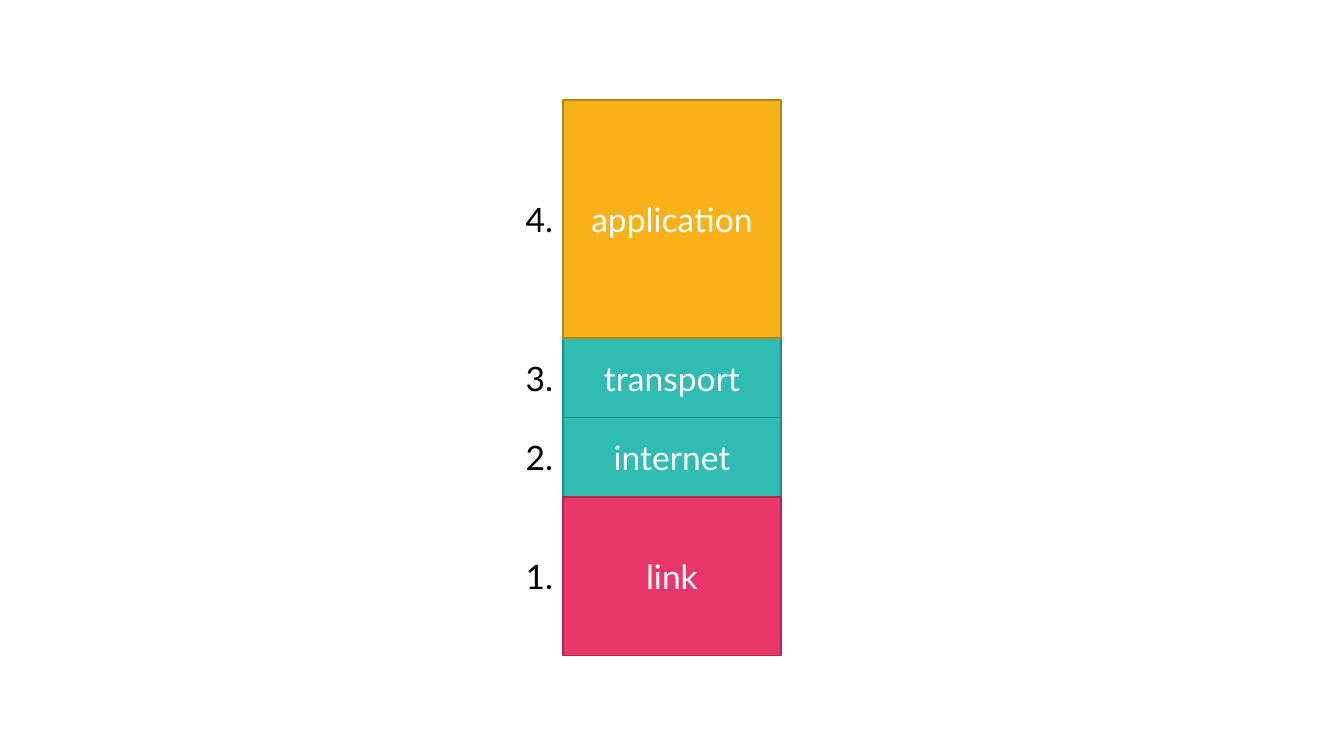
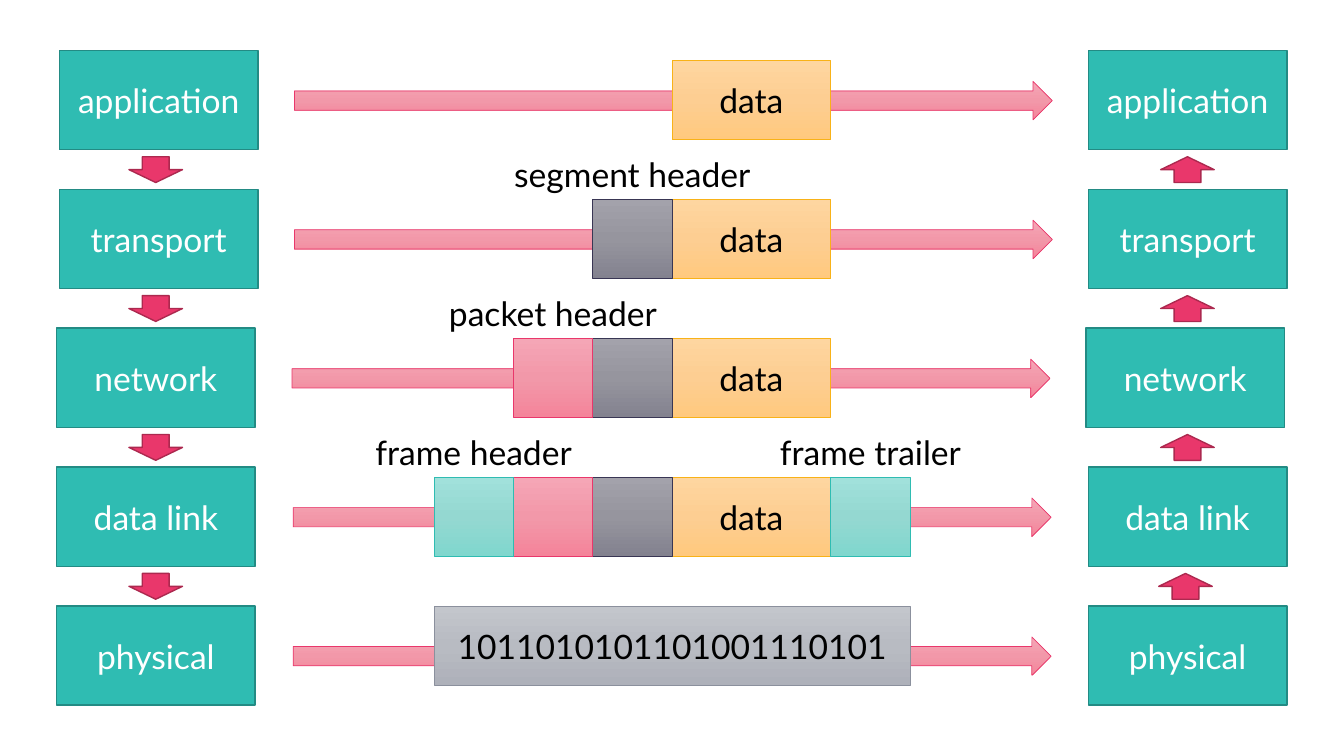
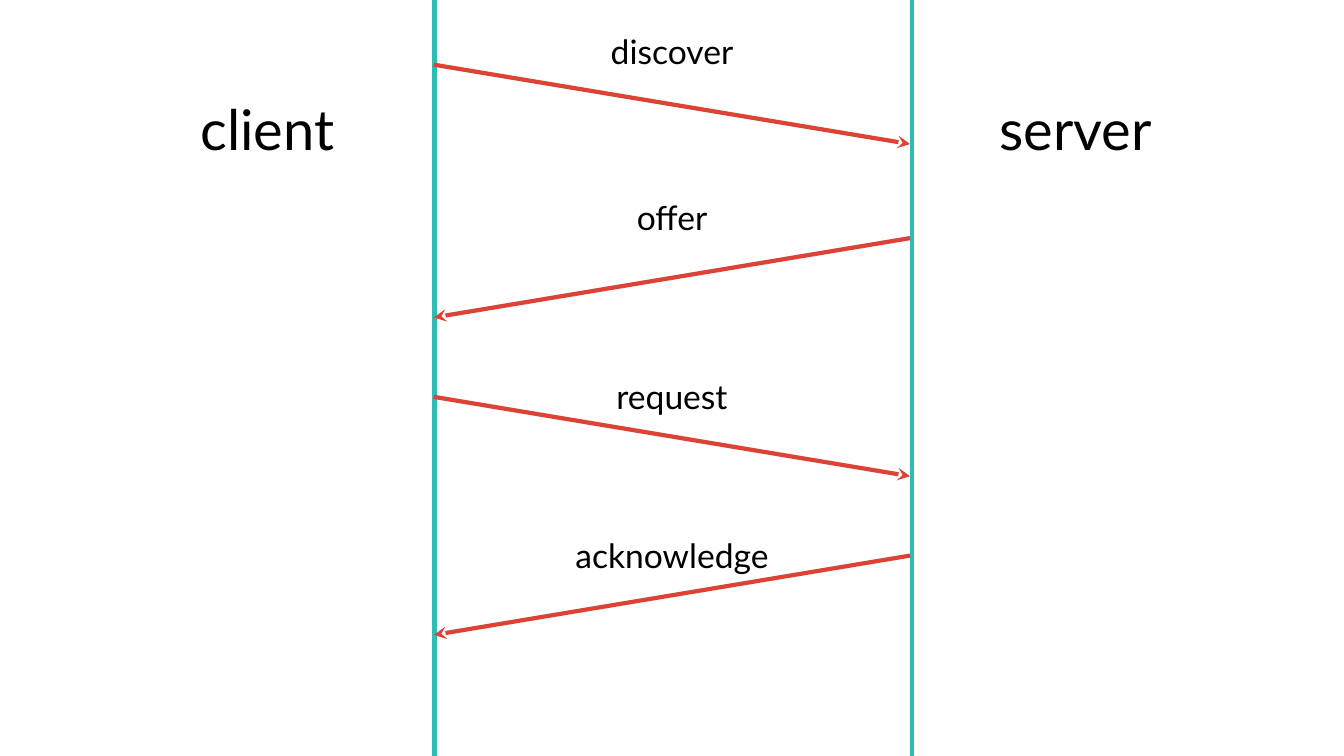
"""Build three slides on network layers, data wrapping and an address handshake."""
from copy import deepcopy
from dataclasses import dataclass

from lxml.etree import SubElement
from pptx import Presentation
from pptx.dml.color import RGBColor
from pptx.enum.shapes import MSO_CONNECTOR, MSO_SHAPE
from pptx.enum.text import MSO_ANCHOR, MSO_AUTO_SIZE, PP_ALIGN
from pptx.oxml.ns import qn
from pptx.shapes.autoshape import Shape
from pptx.slide import Slide
from pptx.util import Cm, Pt

WIDE, HIGH = 33.87, 19.05
MID = WIDE / 2
FONT = "Lato"
BLACK = RGBColor(0x00, 0x00, 0x00)
WHITE = RGBColor(0xFF, 0xFF, 0xFF)
TEAL = RGBColor(0x2F, 0xBC, 0xB2)
PINE = RGBColor(0x23, 0x8B, 0x84)
PINK = RGBColor(0xE9, 0x37, 0x6B)
WINE = RGBColor(0xAC, 0x29, 0x4F)
GOLD = RGBColor(0xF8, 0xB2, 0x18)
BRONZE = RGBColor(0xB7, 0x84, 0x12)
NAVY = RGBColor(0x39, 0x36, 0x54)
STEEL = RGBColor(0x8B, 0x90, 0x9D)
RED = RGBColor(0xDC, 0x42, 0x35)
ROSE = (RGBColor(0xF5, 0xA6, 0xB6), RGBColor(0xF2, 0x98, 0xA9), RGBColor(0xF4, 0x84, 0x9A))
PEACH = (RGBColor(0xFE, 0xD6, 0xA0), RGBColor(0xFD, 0xCE, 0x92), RGBColor(0xFF, 0xC9, 0x7E))
SLATE = (RGBColor(0xA3, 0xA2, 0xAB), RGBColor(0x96, 0x95, 0x9E), RGBColor(0x83, 0x82, 0x8F))
MINT = (RGBColor(0xA1, 0xE1, 0xDB), RGBColor(0x94, 0xD8, 0xD1), RGBColor(0x80, 0xD7, 0xCE))
SILVER = (RGBColor(0xC3, 0xC6, 0xCC), RGBColor(0xB8, 0xBB, 0xC2), RGBColor(0xAE, 0xB1, 0xBA))


@dataclass(frozen=True)
class Look:
    """Fill, edge and text colour of a shape."""
    fill: tuple[RGBColor, ...]
    edge: RGBColor
    ink: RGBColor = BLACK
    weight: float = 0.5


@dataclass(frozen=True)
class Area:
    """Place on a grid of one-centimetre cells."""
    col: float
    row: float
    cols: float
    rows: float

    def box(self) -> tuple[Cm, ...]:
        """Return left, top, width and height."""
        return tuple(Cm(n) for n in (self.col, self.row, self.cols, self.rows))


@dataclass(frozen=True)
class Layer:
    """One layer of the stack, counted in rows from its top."""
    mark: str
    name: str
    row: float
    rows: float
    look: Look


@dataclass(frozen=True)
class Stage:
    """One row of the data flow with the columns of its pieces."""
    name: str
    left: float
    right: float
    arrow: float


@dataclass(frozen=True)
class Part:
    """A piece of the message, placed from the slide's middle."""
    text: str
    label: str
    look: Look
    col: float
    cols: float
    first: int


@dataclass(frozen=True)
class Message:
    """An arrow between client and server."""
    text: str
    row: float
    label: float
    back: bool


SEA = Look((TEAL,), PINE, WHITE, 1)
BERRY = Look((PINK,), WINE, WHITE, 1)
SUN = Look((GOLD,), BRONZE, WHITE, 1)
FLOW = Look(ROSE, PINK)
DATA = Look(PEACH, GOLD)
DARK = Look(SLATE, NAVY)
FRAME = Look(MINT, TEAL)
BITS = Look(SILVER, STEEL)

LAYERS = (
    Layer("3.", "transport", 6, 2, SEA),
    Layer("2.", "internet", 8, 2, SEA),
    Layer("1.", "link", 10, 4, BERRY),
    Layer("4.", "application", 0, 6, SUN),
)
STAGES = (
    Stage("application", 1.5, 27.43, 7.42),
    Stage("transport", 1.5, 27.43, 7.42),
    Stage("network", 1.43, 27.37, 7.36),
    Stage("data link", 1.43, 27.43, 7.39),
    Stage("physical", 1.43, 27.43, 7.39),
)
PARTS = (
    Part("data", "", DATA, 0, 4, 0),
    Part("", "segment header", DARK, -2, 2, 1),
    Part("", "packet header", FLOW, -4, 2, 2),
    Part("", "frame header", FRAME, -6, 2, 3),
    Part("", "frame trailer", FRAME, 4, 2, 3),
)
TALKS = (
    Message("discover", 1.63, 0.66, False),
    Message("offer", 6, 4.83, True),
    Message("request", 10, 9.35, False),
    Message("acknowledge", 14, 13.36, True),
)


def write(shape: Shape, text: str, ink: RGBColor, align: PP_ALIGN = PP_ALIGN.CENTER,
          size: float = 24, **frame) -> None:
    """Put one styled paragraph in a shape."""
    for key, value in frame.items():
        setattr(shape.text_frame, key, value)
    para = shape.text_frame.paragraphs[0]
    para.text, para.alignment = text, align
    for key, value in {"name": FONT, "size": Pt(size)}.items():
        setattr(para.font, key, value)
    para.font.color.rgb = ink


def paint(shape: Shape, tones: tuple[RGBColor, ...]) -> None:
    """Fill a shape with one tone or an even downward blend."""
    fill = shape.fill
    if len(tones) == 1:
        fill.solid()
        fill.fore_color.rgb = tones[0]
        return
    fill.gradient()
    fill.gradient_angle = 270
    stops = shape.element.spPr.find(".//" + qn("a:gsLst"))
    stops.insert(1, deepcopy(stops[0]))
    for n, (stop, tone) in enumerate(zip(fill.gradient_stops, tones)):
        stop.color.rgb = tone
        stop.position = n / (len(tones) - 1)


def block(slide: Slide, area: Area, look: Look, text: str = "",
          kind: MSO_SHAPE = MSO_SHAPE.FLOWCHART_PROCESS) -> Shape:
    """Draw a filled shape with centred text."""
    shape = slide.shapes.add_shape(kind, *area.box())
    shape.shadow.inherit = False
    paint(shape, look.fill)
    shape.line.color.rgb = look.edge
    shape.line.width = Pt(look.weight)
    if text:
        write(shape, text, look.ink, vertical_anchor=MSO_ANCHOR.MIDDLE, word_wrap=True)
    return shape


def label(slide: Slide, area: Area, text: str, **form) -> None:
    """Draw plain black text."""
    write(slide.shapes.add_textbox(*area.box()), text, BLACK, **form)


def line(slide: Slide, ends: tuple[float, ...], ink: RGBColor, tip: bool = False) -> None:
    """Draw a straight line, with an arrow tip if asked."""
    wire = slide.shapes.add_connector(MSO_CONNECTOR.STRAIGHT, *(Cm(n) for n in ends))
    wire.line.color.rgb = ink
    wire.line.width = Pt(3)
    if tip:
        SubElement(wire.line._get_or_add_ln(), qn("a:tailEnd"), type="stealth")
    SubElement(wire.element.spPr, qn("a:effectLst"))


def stack(slide: Slide) -> None:
    """Draw the numbered layers."""
    top, cols, side = 2.52, 5.5, 2
    left = MID - cols / 2
    for layer in LAYERS:
        row = top + layer.row
        block(slide, Area(left, row, cols, layer.rows), layer.look, layer.name,
              MSO_SHAPE.RECTANGLE)
        label(slide, Area(left - side, row, side, layer.rows), layer.mark,
              align=PP_ALIGN.RIGHT, vertical_anchor=MSO_ANCHOR.MIDDLE, word_wrap=True)


def flow(slide: Slide) -> None:
    """Draw the data passing down, across and up the layers."""
    tops = [1.27 + 3.5 * n for n in range(len(STAGES))]
    for stage, top in zip(STAGES, tops):
        block(slide, Area(stage.arrow, top + 0.78, 19.1, 0.97), FLOW,
              kind=MSO_SHAPE.RIGHT_ARROW)
        for col in (stage.left, stage.right):
            block(slide, Area(col, top, 5, 2.5), SEA, stage.name)
    for top in tops[:-1]:
        for col, turn in ((3.25, 0), (29.25, 180)):
            shift = 0.05 if turn and top == tops[-2] else 0
            arrow = block(slide, Area(col - shift, top + 2.68, 1.35, 0.65), BERRY,
                          kind=MSO_SHAPE.DOWN_ARROW)
            arrow.rotation = turn
    for part in PARTS:
        col = MID + part.col
        for top in tops[part.first:-1]:
            block(slide, Area(col, top + 0.25, part.cols, 2), part.look, part.text)
        if part.label:
            label(slide, Area(col + part.cols / 2 - 3.5, tops[part.first] - 1.02, 7, 1.28),
                  part.label, word_wrap=True, auto_size=MSO_AUTO_SIZE.SHAPE_TO_FIT_TEXT)
    block(slide, Area(MID - 6, tops[-1], 12, 2), BITS, "1011010101101001110101")


def talk(slide: Slide) -> None:
    """Draw the messages between client and server."""
    free = {"word_wrap": False, "auto_size": MSO_AUTO_SIZE.SHAPE_TO_FIT_TEXT}
    for col in (10.95, 22.99):
        line(slide, (col, 0, col, HIGH), TEAL)
    for item in TALKS:
        way = -1 if item.back else 1
        line(slide, (MID - 6 * way, item.row, MID + 6 * way, item.row + 2), RED, True)
        label(slide, Area(MID - 2.75, item.label, 5.5, 1.28), item.text, **free)
    for name, col, cols in (("client", 4.8, 3.94), ("server", 24.94, 4.4)):
        label(slide, Area(col, 2.26, cols, 1.96), name, align=PP_ALIGN.LEFT, size=40, **free)


def main() -> None:
    """Build and save the deck."""
    deck = Presentation()
    deck.slide_width, deck.slide_height = Cm(WIDE), Cm(HIGH)
    for draw in (stack, flow, talk):
        draw(deck.slides.add_slide(deck.slide_layouts[6]))
    deck.save("out.pptx")


if __name__ == "__main__":
    main()
